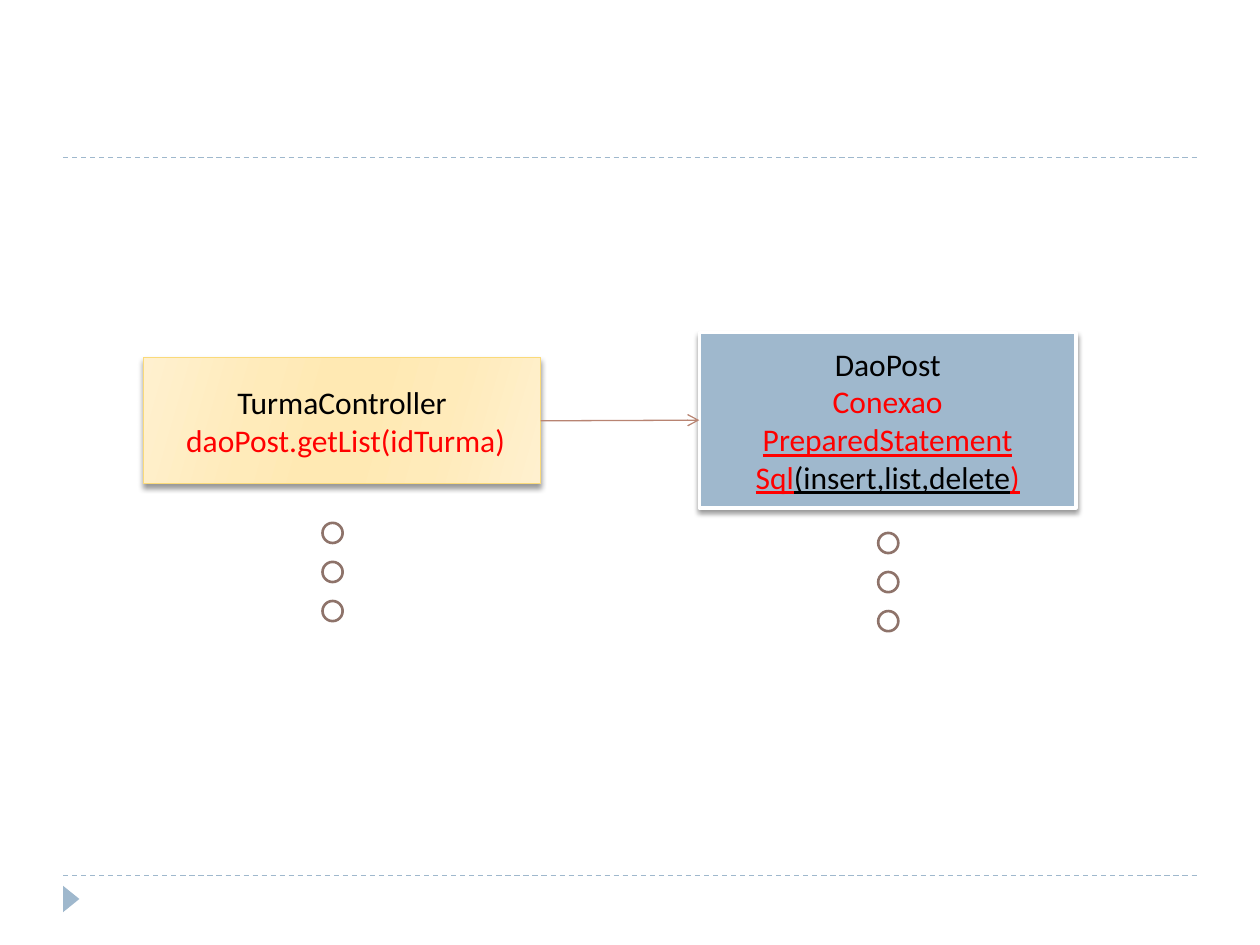
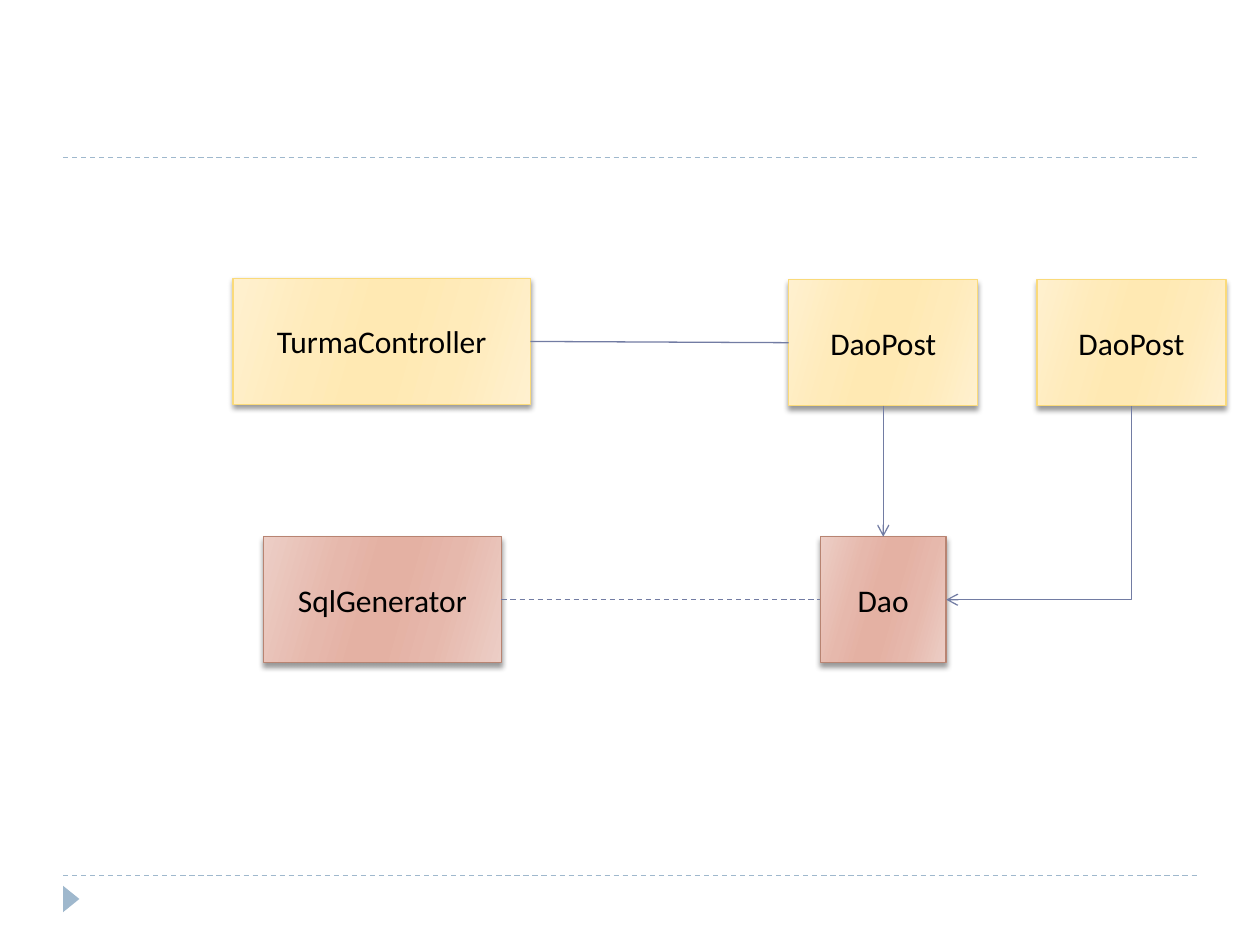
import dataclasses
import lxml.etree
import pptx
import pptx.dml.color
import pptx.enum.dml
import pptx.enum.shapes
import pptx.enum.text
import pptx.oxml.ns
import pptx.util

Inches = pptx.util.Inches
Pt = pptx.util.Pt
Color = pptx.dml.color.RGBColor.from_string
qn = pptx.oxml.ns.qn
Sub = lxml.etree.SubElement
Form = pptx.enum.shapes.MSO_SHAPE
Join = pptx.enum.shapes.MSO_CONNECTOR
Dash = pptx.enum.dml.MSO_LINE.DASH
TOP, LEFT, BOTTOM, RIGHT = range(4)


@dataclasses.dataclass(frozen=True)
class Theme:
    font: str = "Calibri"
    size: int = 18
    thin: float = 0.75
    ring: float = 1.5
    frame: float = 2
    black: str = "000000"
    white: str = "FFFFFF"
    red: str = "FF0000"
    blue: str = "9FB8CD"
    navy: str = "727CA3"
    rust: str = "B88472"
    brown: str = "8E736A"
    gold: str = "FADA7A"
    cream: tuple = ("FFF0CF", "FFEBBA", "FFE9B3")
    rose: tuple = ("ECCEC6", "E6B8AC", "E4B1A3")
    stops: tuple = (0, 30, 45, 55, 73, 100)
    angle: int = 344


theme = Theme()


def add_box(slide, place, rows, tones, edge, width=theme.thin):
    box = slide.shapes.add_shape(Form.RECTANGLE, *map(Inches, place))
    if len(tones) == 1:
        box.fill.solid()
        box.fill.fore_color.rgb = Color(tones[0])
    else:
        box.fill.gradient()
        box.fill.gradient_angle = theme.angle
        stops = box._element.spPr.find(".//" + qn("a:gsLst"))
        for stop in list(stops):
            stops.remove(stop)
        for spot, tone in zip(theme.stops, tones + tones[::-1]):
            stop = Sub(stops, qn("a:gs"), pos=str(spot * 1000))
            Sub(stop, qn("a:srgbClr"), val=tone)
    box.line.color.rgb = Color(edge)
    box.line.width = Pt(width)
    box.shadow.inherit = False
    glow = Sub(box._element.spPr.find(qn("a:effectLst")), qn("a:outerShdw"),
               blurRad=str(Pt(3)), dist=str(Pt(2)), dir="5400000", rotWithShape="0")
    shade = Sub(glow, qn("a:srgbClr"), val=theme.black)
    Sub(shade, qn("a:alpha"), val="40000")
    frame = box.text_frame
    frame.word_wrap = True
    frame.vertical_anchor = pptx.enum.text.MSO_ANCHOR.MIDDLE
    for index, (parts, under) in enumerate(rows):
        para = frame.add_paragraph() if index else frame.paragraphs[0]
        para.alignment = pptx.enum.text.PP_ALIGN.CENTER
        para.font.name = theme.font
        para.font.size = Pt(theme.size)
        para.font.underline = under
        para.font.color.rgb = Color(parts[0][1])
        for text, tone in parts:
            run = para.add_run()
            run.text = text
            if len(parts) > 1:
                run.font.color.rgb = Color(tone)
    return box


def add_line(slide, ends, tone, joins=(), tip=None, dash=False, kind=Join.STRAIGHT):
    line = slide.shapes.add_connector(kind, *map(Inches, ends))
    if joins:
        first, start, last, stop = joins
        line.begin_connect(first, start)
        line.end_connect(last, stop)
    line.line.color.rgb = Color(tone)
    line.line.width = Pt(theme.thin)
    if dash:
        line.line.dash_style = Dash
    if tip:
        Sub(line.line._get_or_add_ln(), qn(tip), type="arrow")
    Sub(line._element.spPr, qn("a:effectLst"))
    return line


deck = pptx.Presentation()
deck.slide_width = Inches(10)
deck.slide_height = Inches(7.5)

for page in range(2):
    slide = deck.slides.add_slide(deck.slide_layouts[6])
    for y in (6.95, 1.25):
        add_line(slide, (0.5, y, 9.5, y), theme.blue, dash=True)
    mark = slide.shapes.add_shape(
        Form.ISOSCELES_TRIANGLE, Inches(0.46), Inches(7.07), Inches(0.21), Inches(0.13))
    mark.rotation = 90
    mark.fill.solid()
    mark.fill.fore_color.rgb = Color(theme.blue)
    mark.line.fill.background()
    mark.shadow.inherit = False

calls, parts = deck.slides

store = add_box(calls, (5.55, 2.64, 2.99, 1.39), [
    ([("DaoPost", theme.black)], None),
    ([("Conexao", theme.red)], None),
    ([("PreparedStatement", theme.red)], True),
    ([("Sql", theme.red), ("(insert,list,delete", theme.black), (")", theme.red)], True),
], (theme.blue,), theme.white, theme.frame)
control = add_box(calls, (1.14, 2.84, 3.15, 1), [
    ([("TurmaController", theme.black)], None),
    ([(" daoPost.getList(idTurma)", theme.red)], None),
], theme.cream, theme.gold)
add_line(calls, (4.29, 3.34, 5.55, 3.34), theme.rust,
         (control, RIGHT, store, LEFT), "a:tailEnd")

for x, top in ((2.56, 4.15), (6.97, 4.23)):
    for step in range(3):
        dot = calls.shapes.add_shape(
            Form.FLOWCHART_CONNECTOR, Inches(x), Inches(top + step * 0.31),
            Inches(0.16), Inches(0.16))
        dot.fill.solid()
        dot.fill.fore_color.rgb = Color(theme.white)
        dot.line.color.rgb = Color(theme.brown)
        dot.line.width = Pt(theme.ring)
        dot.shadow.inherit = False

boxes = []
for name, place, tones, edge in (
    ("Dao", (6.51, 4.26, 1, 1), theme.rose, theme.rust),
    ("DaoPost", (6.26, 2.22, 1.5, 1), theme.cream, theme.gold),
    ("SqlGenerator", (2.09, 4.26, 1.89, 1), theme.rose, theme.rust),
    ("TurmaController", (1.85, 2.21, 2.36, 1), theme.cream, theme.gold),
    ("DaoPost", (8.23, 2.22, 1.5, 1), theme.cream, theme.gold),
):
    boxes.append(add_box(parts, place, [([(name, theme.black)], None)], tones, edge))
dao, post, maker, control, other = boxes

add_line(parts, (4.21, 2.71, 6.26, 2.72), theme.navy, (control, RIGHT, post, LEFT))
add_line(parts, (7.01, 3.22, 7.01, 4.26), theme.navy,
         (post, BOTTOM, dao, TOP), "a:tailEnd")
bend = add_line(parts, (7.51, 4.76, 8.98, 3.22), theme.navy,
                (dao, RIGHT, other, BOTTOM), "a:headEnd", kind=Join.ELBOW)
bend._element.spPr.find(qn("a:prstGeom")).set("prst", "bentConnector2")
add_line(parts, (3.98, 4.76, 6.51, 4.76), theme.navy,
         (maker, RIGHT, dao, LEFT), dash=True)

deck.save("out.pptx")
